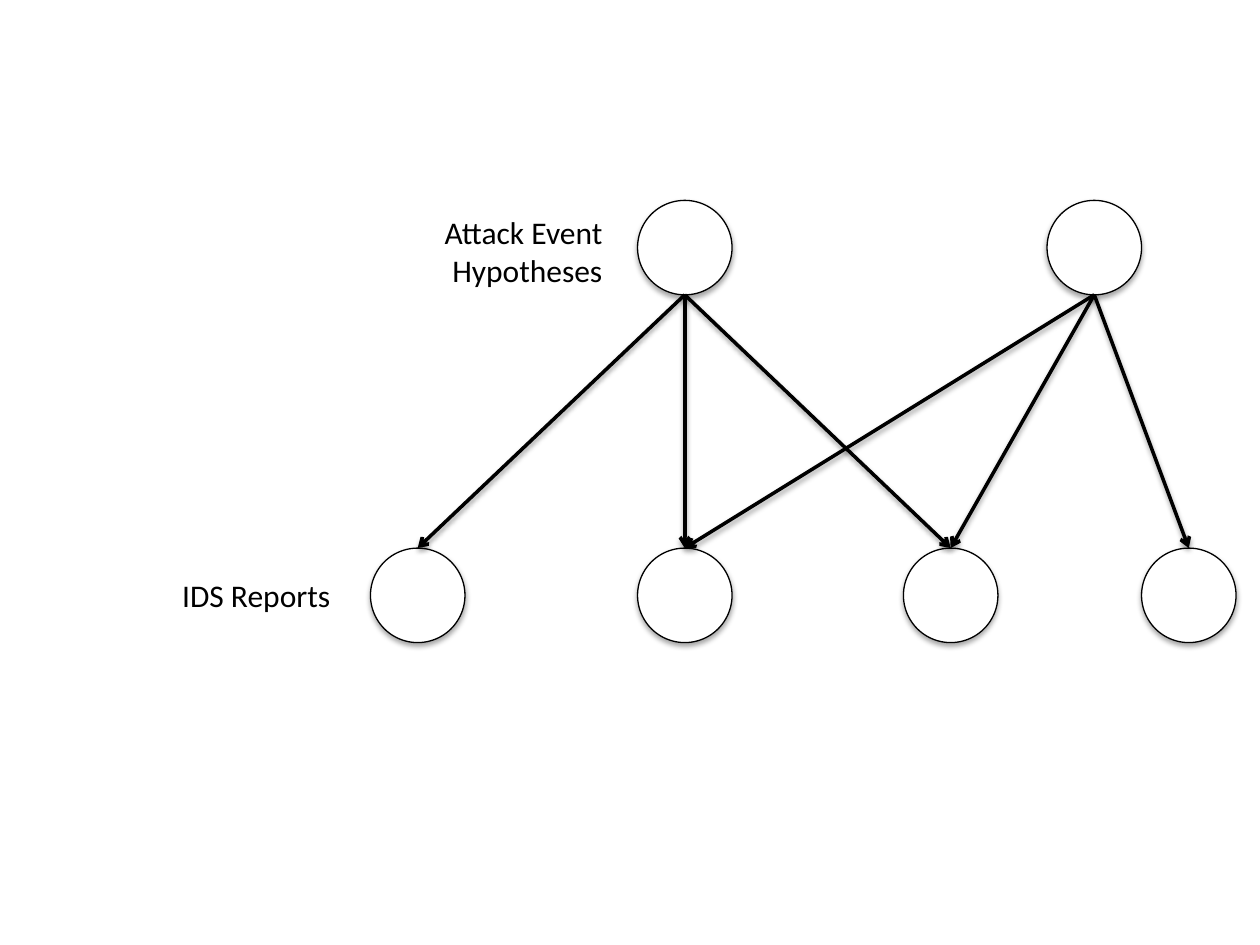
from dataclasses import dataclass

from lxml.etree import SubElement
from pptx import Presentation
from pptx.dml.color import RGBColor
from pptx.enum.shapes import MSO_CONNECTOR as Connector, MSO_SHAPE as Shape
from pptx.enum.text import MSO_AUTO_SIZE as AutoSize, PP_ALIGN as Align
from pptx.oxml.ns import qn
from pptx.util import Inches, Pt


@dataclass(frozen=True)
class Theme:
    """Colours, type and line sizes of the diagram."""
    ink: RGBColor = RGBColor(0, 0, 0)
    paper: RGBColor = RGBColor(255, 255, 255)
    font: str = "Calibri"
    text_size: float = 18
    outline: float = 0.75
    arrow: float = 2
    shadow_blur: float = 3.1
    node_shadow: tuple = (1.8, 35)
    arrow_shadow: tuple = (1.6, 38)


class Diagram:
    """Draws nodes, arrows and labels on one slide."""

    def __init__(self, slide, theme):
        """Keep the slide and its style."""
        self.slide = slide
        self.theme = theme

    def shadow(self, properties, distance, opacity):
        """Add a soft shadow straight below an element."""
        effects = properties.find(qn("a:effectLst"))
        if effects is None:
            effects = SubElement(properties, qn("a:effectLst"))
        outer = SubElement(effects, qn("a:outerShdw"), blurRad=str(Pt(self.theme.shadow_blur)),
                           dist=str(Pt(distance)), dir="5400000", rotWithShape="0")
        color = SubElement(outer, qn("a:srgbClr"), val=str(self.theme.ink))
        SubElement(color, qn("a:alpha"), val=str(opacity * 1000))

    def node(self, shapes, left, top, size):
        """Add a circle to a slide or a group."""
        circle = shapes.add_shape(Shape.OVAL, Inches(left), Inches(top),
                                  Inches(size), Inches(size))
        circle.fill.solid()
        circle.fill.fore_color.rgb = self.theme.paper
        circle.line.color.rgb = self.theme.ink
        circle.line.width = Pt(self.theme.outline)
        circle.shadow.inherit = False
        self.shadow(circle._element.spPr, *self.theme.node_shadow)

    def arrow(self, start, end):
        """Add a straight arrow between two points."""
        points = [Inches(value) for value in (*start, *end)]
        arrow = self.slide.shapes.add_connector(Connector.STRAIGHT, *points)
        arrow.line.color.rgb = self.theme.ink
        arrow.line.width = Pt(self.theme.arrow)
        SubElement(arrow.line._get_or_add_ln(), qn("a:tailEnd"), type="arrow")
        self.shadow(arrow._element.spPr, *self.theme.arrow_shadow)

    def label(self, lines, left, top, width, height):
        """Add a right-aligned label, one paragraph a line."""
        box = self.slide.shapes.add_textbox(Inches(left), Inches(top),
                                            Inches(width), Inches(height))
        frame = box.text_frame
        frame.word_wrap = False
        frame.auto_size = AutoSize.SHAPE_TO_FIT_TEXT
        for index, text in enumerate(lines):
            para = frame.add_paragraph() if index else frame.paragraphs[0]
            para.alignment = Align.RIGHT
            span = para.add_run()
            span.text = text
            span.font.name = self.theme.font
            span.font.size = Pt(self.theme.text_size)
            span.font.color.rgb = self.theme.ink


NODE_SIZE = 0.75
HYPOTHESIS_TOP = 1.59
REPORT_TOP = 4.35
HYPOTHESES = [5.06, 8.31]
REPORTS = [2.94, 5.06, 7.17, 9.06]
EVIDENCE = {0: (0, 1, 2), 1: (1, 2, 3)}


def main():
    """Build the hypotheses and reports slide."""
    deck = Presentation()
    deck.slide_width, deck.slide_height = Inches(10), Inches(7.5)
    page = deck.slides.add_slide(deck.slide_layouts[6])
    diagram = Diagram(page, Theme())

    for left in HYPOTHESES:
        diagram.node(page.shapes, left, HYPOTHESIS_TOP, NODE_SIZE)
    report_group = page.shapes.add_group_shape()
    for left in REPORTS:
        diagram.node(report_group.shapes, left, REPORT_TOP, NODE_SIZE)

    radius = NODE_SIZE / 2
    for hypothesis, reports in EVIDENCE.items():
        start = (HYPOTHESES[hypothesis] + radius, HYPOTHESIS_TOP + NODE_SIZE)
        for report in reports:
            diagram.arrow(start, (REPORTS[report] + radius, REPORT_TOP))

    diagram.label(["Attack Event", "Hypotheses"], 3.33, 1.64, 1.55, 0.71)
    diagram.label(["IDS Reports"], 1.33, 4.52, 1.39, 0.4)
    deck.save("out.pptx")


main()
